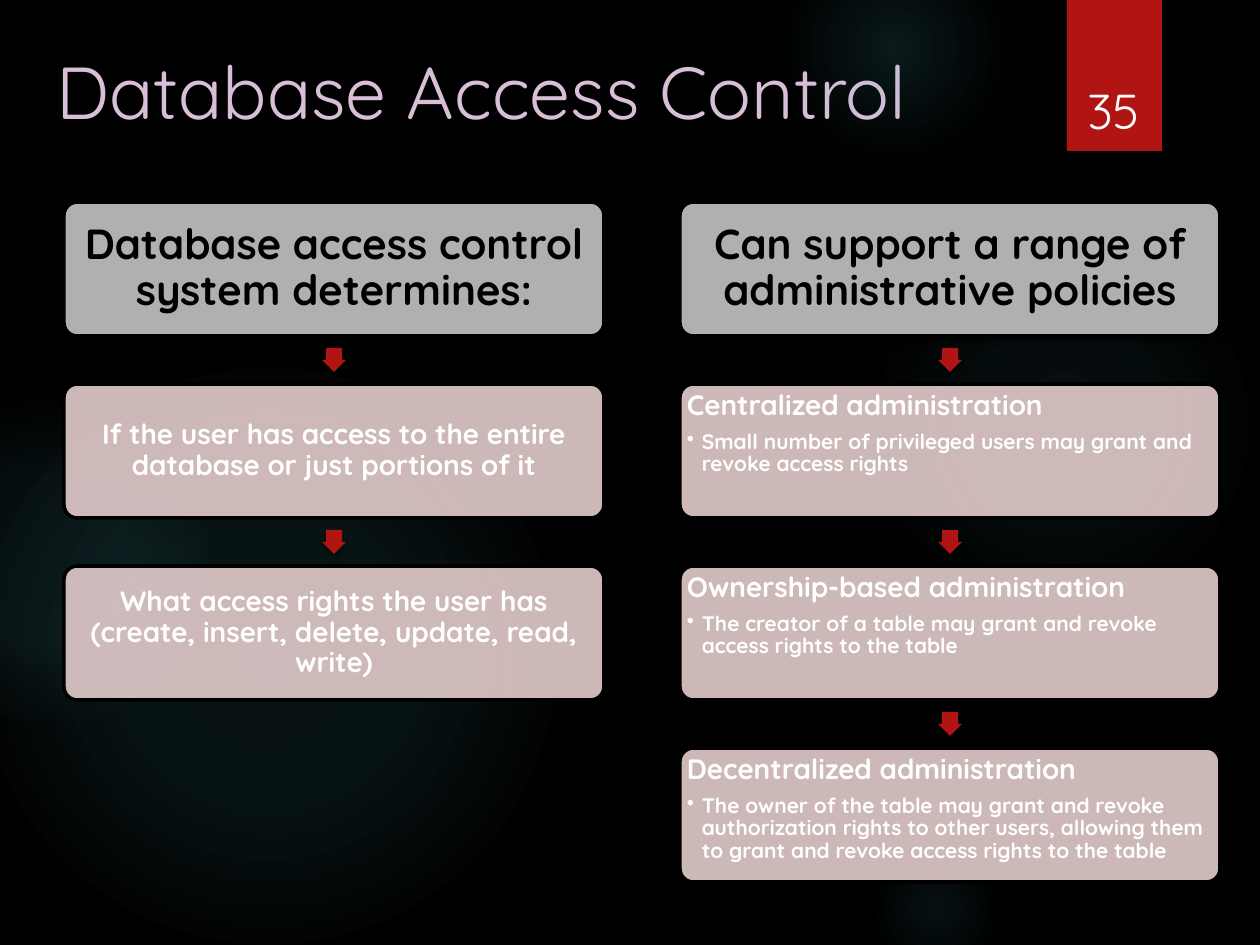
from lxml import etree
from pptx import Presentation
from pptx.dml.color import RGBColor
from pptx.enum.shapes import MSO_SHAPE as Shape
from pptx.enum.text import MSO_ANCHOR as Anchor, PP_ALIGN as Align
from pptx.oxml.ns import qn
from pptx.util import Pt

EMU_PER_PX = 914400 / 126
RED, GREY, PINK, TEAL = "B01513", "B0B0B0", "E4CCCC", "50B9C1"
BLACK, WHITE, LILAC = "000000", "FFFFFF", "D9BED7"

# left, top, diameter, then (position %, opacity %) stops
GLOWS = [
    (868, 231, 388, [(0, 7), (36, 6), (69, 0)]),
    (784, -63, 220, [(0, 14), (36, 7), (73, 0)]),
    (868, 840, 136, [(0, 9), (36, 5), (66, 0)]),
    (-21, 368, 577, [(0, 11), (36, 10), (75, 0)]),
    (-116, 399, 325, [(0, 8), (36, 8), (72, 0)]),
]

# left edge, heading, then (text, detail) steps
COLUMNS = [
    (64, "Database access control system determines:", [
        ("If the user has access to the entire database or just portions of it", None),
        ("What access rights the user has (create, insert, delete, update, read, write)", None),
    ]),
    (680, "Can support a range of administrative policies", [
        ("Centralized administration",
         "Small number of privileged users may grant and revoke access rights"),
        ("Ownership-based administration",
         "The creator of a table may grant and revoke access rights to the table"),
        ("Decentralized administration",
         "The owner of the table may grant and revoke authorization rights to other users, "
         "allowing them to grant and revoke access rights to the table"),
    ]),
]
BOX_TOP, BOX_WIDTH, BOX_HEIGHT, PITCH = 202, 540, 134, 182
ARROW = 24


def px(length):
    return round(length * EMU_PER_PX)


def color(hex_string):
    return RGBColor.from_string(hex_string)


def add_node(parent, tag, **attributes):
    return etree.SubElement(parent, qn(tag), {k: str(v) for k, v in attributes.items()})


def add_color(parent, hex_string, opacity):
    node = add_node(parent, "a:srgbClr", val=hex_string)
    add_node(node, "a:alpha", val=opacity * 1000)


class SlideBuilder:
    font = "Quicksand"

    def __init__(self, slide):
        self.slide = slide
        slide.background.fill.solid()
        slide.background.fill.fore_color.rgb = color(BLACK)

    def shape(self, kind, left, top, width, height, fill=None, opacity=100, shadow=False):
        shape = self.slide.shapes.add_shape(kind, px(left), px(top), px(width), px(height))
        shape.shadow.inherit = False
        shape.line.fill.background()
        if fill:
            shape.fill.solid()
            shape.fill.fore_color.rgb = color(fill)
            if opacity < 100:
                node = shape.fill._xPr.find(".//" + qn("a:srgbClr"))
                add_node(node, "a:alpha", val=opacity * 1000)
        if shadow:
            effects = shape._element.spPr.find(qn("a:effectLst"))
            outer = add_node(effects, "a:outerShdw", blurRad=Pt(3), dist=Pt(2),
                             dir=5400000, rotWithShape=0)
            add_color(outer, BLACK, 45)
        return shape

    def glow(self, left, top, diameter, stops):
        """Add a circle whose colour fades out from its centre."""
        circle = self.shape(Shape.OVAL, left, top, diameter, diameter)
        gradient = etree.Element(qn("a:gradFill"))
        stop_list = add_node(gradient, "a:gsLst")
        for position, opacity in stops:
            add_color(add_node(stop_list, "a:gs", pos=position * 1000), TEAL, opacity)
        center = add_node(gradient, "a:path", path="circle")
        add_node(center, "a:fillToRect", l=50000, t=50000, r=50000, b=50000)
        circle._element.spPr.find(qn("a:prstGeom")).addnext(gradient)

    def box(self, left, top, fill, inset, opacity=100, shadow=False, anchor=Anchor.MIDDLE):
        box = self.shape(Shape.ROUNDED_RECTANGLE, left, top, BOX_WIDTH, BOX_HEIGHT,
                         fill, opacity, shadow)
        box.adjustments[0] = 0.1
        box.line.color.rgb = color(BLACK)
        box.line.width = Pt(2)
        frame = box.text_frame
        frame.word_wrap = True
        frame.vertical_anchor = anchor
        frame.margin_left = frame.margin_right = px(inset)
        frame.margin_top = frame.margin_bottom = px(inset)
        return frame

    def arrow(self, left, top):
        arrow = self.shape(Shape.RIGHT_ARROW, left, top, ARROW, ARROW, RED, shadow=True)
        arrow.adjustments[0] = 0.667
        arrow.rotation = 90

    def span(self, para, text, size, fill, bold=False):
        span = para.add_run()
        span.text = text
        span.font.name = self.font
        span.font.size = Pt(size)
        span.font.bold = bold
        span.font.color.rgb = color(fill)
        return span

    def step_text(self, para, text, size, fill, align, space_after=35, bullet=False):
        """Fill a box paragraph; space_after is a percentage of a line."""
        para.alignment = align
        para.line_spacing = 0.9
        properties = para._p.get_or_add_pPr()
        spacing = add_node(properties, "a:spcAft")
        add_node(spacing, "a:spcPct", val=space_after * 1000)
        if bullet:
            para.level = 1
            properties.set("marL", str(px(15)))
            properties.set("indent", str(-px(15)))
            add_node(properties, "a:buChar", char="•")
        self.span(para, text, size, fill, bold=True)

    def title(self, text):
        title = self.slide.shapes.title
        title.left, title.top, title.width, title.height = px(44), px(40), px(1134), px(144)
        title.text_frame.vertical_anchor = Anchor.TOP
        title.text_frame.word_wrap = True
        para = title.text_frame.paragraphs[0]
        para.alignment = Align.LEFT
        self.span(para, text, 42, LILAC)

    def page_number(self, text):
        box = self.slide.shapes.add_textbox(px(1070), px(40), px(87), px(106))
        frame = box.text_frame
        frame.word_wrap = True
        frame.vertical_anchor = Anchor.BOTTOM
        para = frame.paragraphs[0]
        para.alignment = Align.CENTER
        self.span(para, text, 28, WHITE)

    def column(self, left, heading, steps):
        frame = self.box(left, BOX_TOP, GREY, inset=4, shadow=True)
        self.step_text(frame.paragraphs[0], heading, 24, BLACK, Align.CENTER)
        for row, (text, detail) in enumerate(steps, 1):
            top = BOX_TOP + row * PITCH
            gap = PITCH - BOX_HEIGHT
            self.arrow(left + (BOX_WIDTH - ARROW) / 2, top - (gap + ARROW) / 2)
            frame = self.box(left, top, PINK, inset=3, opacity=90,
                             anchor=Anchor.TOP if detail else Anchor.MIDDLE)
            align = Align.LEFT if detail else Align.CENTER
            self.step_text(frame.paragraphs[0], text, 16, WHITE, align)
            if detail:
                self.step_text(frame.add_paragraph(), detail, 12, WHITE, align,
                               space_after=15, bullet=True)


def main():
    deck = Presentation()
    deck.slide_width, deck.slide_height = px(1260), px(945)
    page = SlideBuilder(deck.slides.add_slide(deck.slide_layouts[5]))
    for glow in GLOWS:
        page.glow(*glow)
    page.shape(Shape.RECTANGLE, 1067, 0, 95, 151, RED, shadow=True)
    page.title("Database Access Control")
    for column in COLUMNS:
        page.column(*column)
    page.page_number("35")
    deck.save("out.pptx")


if __name__ == "__main__":
    main()
